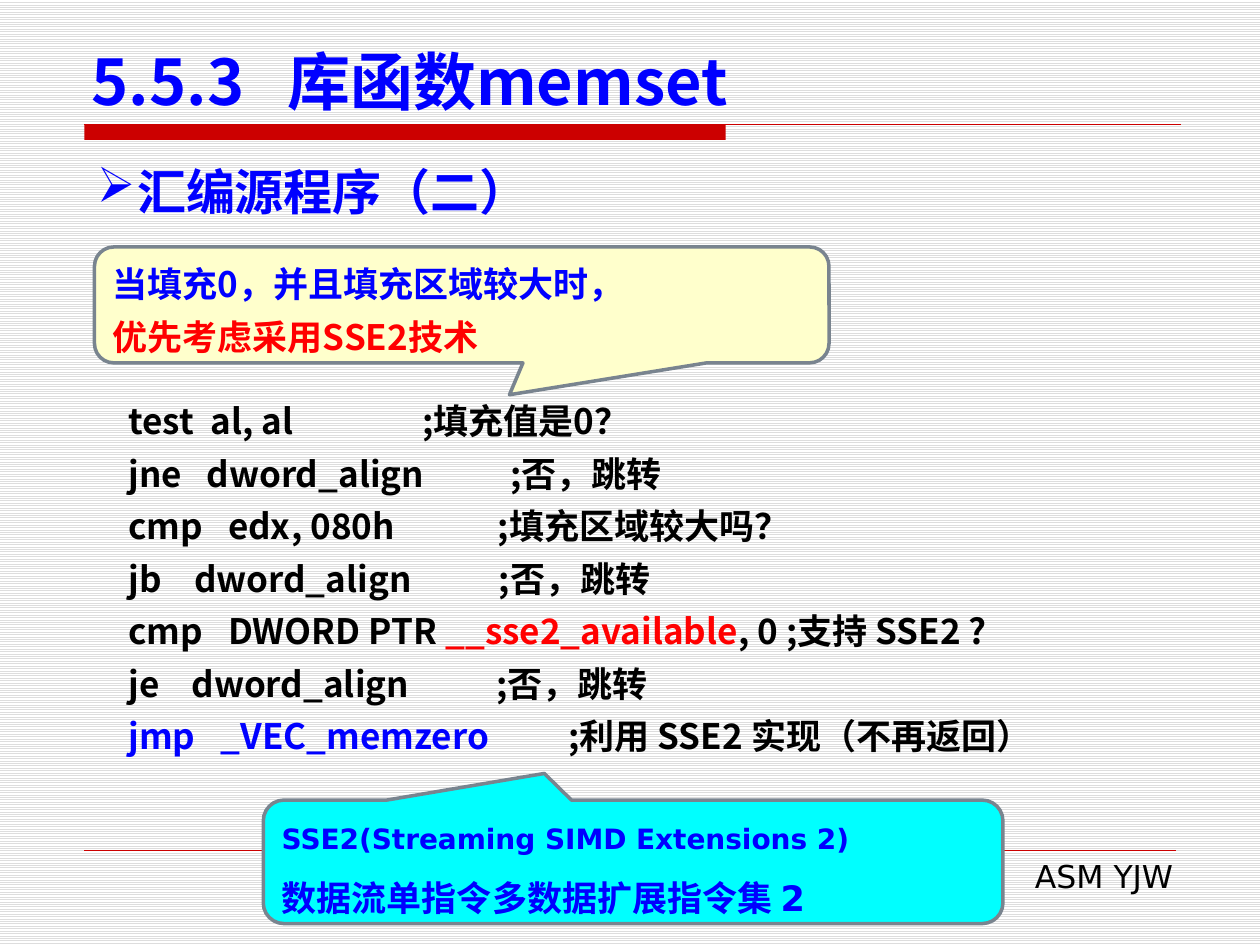
import collections

import lxml.etree
import pptx
import pptx.dml.color
import pptx.enum.dml
import pptx.enum.shapes
import pptx.enum.text
import pptx.oxml.ns
import pptx.util

RGBColor = pptx.dml.color.RGBColor
Inches = pptx.util.Inches
Pt = pptx.util.Pt
ALIGN = pptx.enum.text.PP_ALIGN
ANCHOR = pptx.enum.text.MSO_ANCHOR
SHAPE = pptx.enum.shapes.MSO_SHAPE

BLUE = RGBColor(0, 0, 255)
RED = RGBColor(255, 0, 0)
BLACK = RGBColor(0, 0, 0)
WHITE = RGBColor(255, 255, 255)
STRIPE = RGBColor(0xDD, 0xDD, 0xDD)
RULE_RED = RGBColor(0xCC, 0, 0)
CREAM = RGBColor(0xFF, 0xFF, 0xCC)
CYAN = RGBColor(0, 255, 255)
SLATE = RGBColor(0x79, 0x84, 0x8F)
SANS = "DejaVu Sans"
CJK = "Noto Sans CJK SC"

Box = collections.namedtuple("Box", "left top width height")


def emu(box):
    return [Inches(length) for length in box]


def add_child(parent, tag, **attributes):
    child = lxml.etree.SubElement(parent, pptx.oxml.ns.qn(tag))
    for name, value in attributes.items():
        child.set(name, str(value))
    return child


def add_span(para, text, size, color, font=CJK, bold=True):
    span = para.add_run()
    span.text = text
    span.font.size = Pt(size)
    span.font.bold = bold
    span.font.color.rgb = color
    span.font.name = font
    add_child(span.font._element, "a:ea", typeface=CJK)


def add_tabs(para, stops):
    tabs = add_child(para._p.get_or_add_pPr(), "a:tabLst")
    for stop in stops:
        add_child(tabs, "a:tab", pos=Inches(stop), algn="l")


def add_text_frame(page, box, anchor=ANCHOR.TOP):
    frame = page.shapes.add_textbox(*emu(box)).text_frame
    frame.word_wrap = True
    frame.vertical_anchor = anchor
    return frame


def next_para(frame, index):
    return frame.add_paragraph() if index else frame.paragraphs[0]


def add_rule(page, left, right, top, weight):
    rule = page.shapes.add_connector(
        pptx.enum.shapes.MSO_CONNECTOR.STRAIGHT,
        Inches(left), Inches(top), Inches(right), Inches(top))
    rule.line.color.rgb = RULE_RED
    rule.line.width = Pt(weight)
    add_child(rule._element.spPr, "a:effectLst")


def add_panel(page, kind, box, fill):
    panel = page.shapes.add_shape(kind, *emu(box))
    panel.shadow.inherit = False
    panel.fill.solid()
    panel.fill.fore_color.rgb = fill
    return panel


def add_header(page, box):
    bar_share, bar_height = 0.585, 0.12
    bottom = box.top + box.height
    bar = Box(box.left, bottom, box.width * bar_share, bar_height)
    add_panel(page, SHAPE.RECTANGLE, bar, RULE_RED).line.fill.background()
    add_rule(page, box.left, box.left + box.width, bottom, 0.75)
    title = box._replace(left=box.left - 0.04)
    para = add_text_frame(page, title, ANCHOR.BOTTOM).paragraphs[0]
    add_tabs(para, [1.55])
    add_span(para, "5.5.3\t库函数memset", 36, BLUE)


def add_footer(page, box):
    add_rule(page, box.left, box.left + box.width, box.top, 0.25)
    note = box._replace(width=box.width + 0.08)
    para = add_text_frame(page, note).paragraphs[0]
    para.alignment = ALIGN.RIGHT
    add_span(para, "ASM YJW", 18, BLACK, SANS, False)


def add_heading(page, box):
    para = add_text_frame(page, box).paragraphs[0]
    para.alignment = ALIGN.JUSTIFY
    props = para._p.get_or_add_pPr()
    props.set("marL", str(Inches(0.32)))
    props.set("indent", str(-Inches(0.32)))
    add_child(props, "a:buChar", char="➢")
    add_span(para, "汇编源程序（二）", 28, BLUE, SANS)


def add_callout(page, box, pointer, fill, spacing, lines):
    callout = add_panel(page, SHAPE.ROUNDED_RECTANGULAR_CALLOUT, box, fill)
    for index, share in enumerate(pointer):
        callout.adjustments[index] = share
    callout.line.color.rgb = SLATE
    callout.line.width = Pt(2)
    frame = callout.text_frame
    frame.word_wrap = True
    frame.vertical_anchor = ANCHOR.MIDDLE
    for index, line in enumerate(lines):
        para = next_para(frame, index)
        para.alignment = ALIGN.LEFT
        para.line_spacing = spacing
        add_span(para, *line)


def add_listing(page, box, rows):
    frame = add_text_frame(page, box)
    frame.margin_left = 0
    for index, (stops, spans) in enumerate(rows):
        para = next_para(frame, index)
        para.line_spacing = Pt(30)
        add_tabs(para, stops)
        for text, color in spans:
            add_span(para, text, 20, color)


CODE = [
    ([0.65, 2.33], [("test\tal, al\t;填充值是0？", BLACK)]),
    ([0.62, 3.03], [("jne\tdword_align\t;否，跳转", BLACK)]),
    ([0.79, 2.93], [("cmp\tedx, 080h\t;填充区域较大吗？", BLACK)]),
    ([0.52, 2.94], [("jb\tdword_align\t;否，跳转", BLACK)]),
    ([0.79], [("cmp\tDWORD PTR ", BLACK), ("__sse2_available", RED),
              (", 0 ;支持 SSE2 ?", BLACK)]),
    ([0.5, 2.92], [("je\tdword_align\t;否，跳转", BLACK)]),
    ([0.73, 3.49], [("jmp\t_VEC_memzero\t", BLUE),
                    (";利用 SSE2 实现（不再返回）", BLACK)]),
]


def build_page(deck):
    page = deck.slides.add_slide(deck.slide_layouts[6])
    fill = page.background.fill
    fill.patterned()
    fill.pattern = pptx.enum.dml.MSO_PATTERN.LIGHT_HORIZONTAL
    fill.fore_color.rgb = STRIPE
    fill.back_color.rgb = WHITE
    add_header(page, Box(0.67, 0.33, 8.7, 0.66))
    add_footer(page, Box(0.67, 6.75, 8.66, 0.4))
    add_heading(page, Box(0.67, 1.23, 8.66, 0.57))
    add_listing(page, Box(1.02, 3.04, 8.7, 3.05), CODE)
    add_callout(page, Box(0.75, 1.96, 5.83, 0.92), (0.065, 0.775, 0.167),
                CREAM, Pt(30),
                [("当填充0，并且填充区域较大时，", 20, BLUE),
                 ("优先考虑采用SSE2技术", 20, RED)])
    add_callout(page, Box(2.09, 6.35, 5.87, 0.98), (-0.12, -0.716, 0.167),
                CYAN, 1.5,
                [("SSE2(Streaming SIMD Extensions 2)", 16, BLUE, SANS),
                 ("数据流单指令多数据扩展指令集 2", 20, BLUE, SANS)])


deck = pptx.Presentation()
deck.slide_width = Inches(10)
deck.slide_height = Inches(7.5)
build_page(deck)
deck.save("out.pptx")
